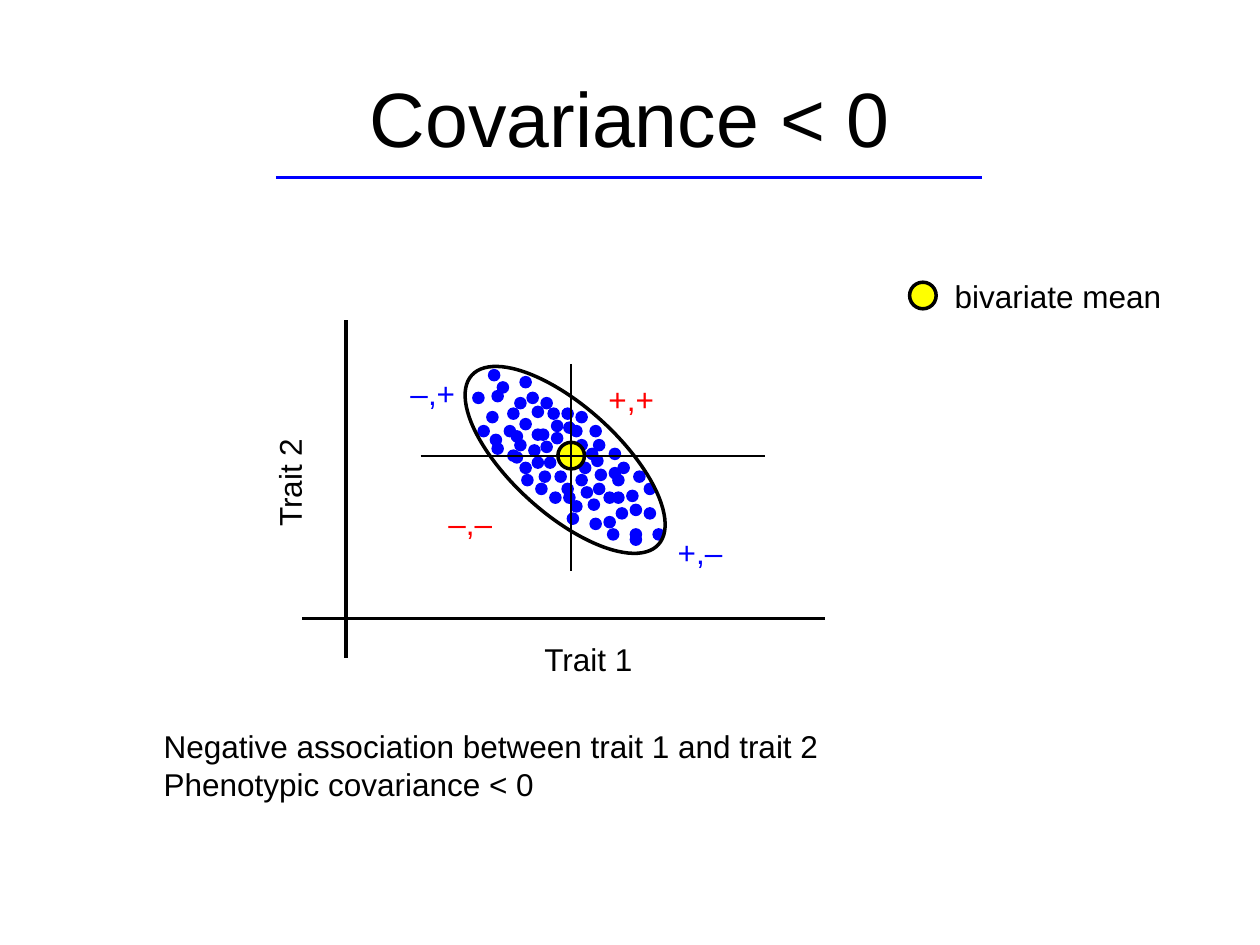
from dataclasses import dataclass

from pptx import Presentation
from pptx.dml.color import RGBColor
from pptx.enum.shapes import MSO_CONNECTOR, MSO_SHAPE
from pptx.enum.text import MSO_ANCHOR, MSO_AUTO_SIZE, PP_ALIGN
from pptx.oxml.ns import qn
from pptx.util import Pt

STRAIGHT = MSO_CONNECTOR.STRAIGHT
OVAL = MSO_SHAPE.OVAL
LEFT, CENTER = PP_ALIGN.LEFT, PP_ALIGN.CENTER
TOP, MIDDLE = MSO_ANCHOR.TOP, MSO_ANCHOR.MIDDLE
FIT_SHAPE = MSO_AUTO_SIZE.SHAPE_TO_FIT_TEXT


@dataclass(frozen=True)
class Theme:
    font: str = "Arial"
    title_size: float = 44
    body_size: float = 18
    black: RGBColor = RGBColor(0, 0, 0)
    blue: RGBColor = RGBColor(0, 0, 255)
    red: RGBColor = RGBColor(255, 0, 0)
    yellow: RGBColor = RGBColor(255, 255, 0)
    thick: float = 2
    thin: float = 1
    dot: float = 7.2
    mean_dot: float = 15.2
    label_height: float = 29


THEME = Theme()

# Individuals, as (x, y) offsets in points from the bivariate mean, y downwards
INDIVIDUALS = [
    (-14, -30), (-26, -18), (-45, -22), (-33, 0), (8, 7), (1, 36),
    (-12, 4), (6, -6), (39, 12), (-1, 24), (-14, -5), (45, 19),
    (37, 48), (22, 38), (-22, -33), (-42, -34), (-35, -14), (-25, 14),
    (-8, -17), (-15, 12), (-31, 1), (27, 24), (-19, 4), (-50, -14),
    (-29, -30), (30, 7), (22, 24), (6, 14), (27, 14), (25, 10),
    (-53, -33), (29, 33), (37, 45), (17, 11), (37, 31), (13, 28),
    (12, -1), (35, 23), (-8, -10), (-2, -24), (50, 45), (-43, -9),
    (-33, -24), (3, -14), (-16, -12), (-31, -11), (-44, -46), (-39, -39),
    (16, 19), (-9, 24), (24, 45), (-29, -6), (-26, -42), (15, 3),
    (6, -22), (-19, -25), (-19, -12), (45, 33), (14, -14), (16, -6),
    (25, -1), (-2, 19), (-26, 7), (-21, -3), (-17, 19), (-1, -16),
    (14, 39), (9, 21), (-42, -4), (3, 29), (-6, 12), (-10, -24),
]

# Sign labels: text, offset of the label's corner from the mean, colour, wrap
QUADRANTS = [
    ("+,+", 14.2, -46.6, THEME.red, False),
    ("–,–", -77.3, 24, THEME.red, False),
    ("+,–", 53.8, 40.6, THEME.blue, True),
    ("–,+", -98.9, -50.2, THEME.blue, False),
]


def add_text(slide, text, left, top, width, height, *, size=THEME.body_size,
             color=THEME.black, align=LEFT, anchor=TOP, wrap=True,
             fit=FIT_SHAPE, rotation=0):
    box = slide.shapes.add_textbox(Pt(left), Pt(top), Pt(width), Pt(height))
    box.rotation = rotation
    frame = box.text_frame
    frame.text = text
    frame.word_wrap = wrap
    frame.auto_size = fit
    frame.vertical_anchor = anchor
    for paragraph in frame.paragraphs:
        paragraph.alignment = align
        font = paragraph.runs[0].font
        font.name, font.size, font.color.rgb = THEME.font, Pt(size), color


def add_line(slide, x1, y1, x2, y2, color=THEME.black, weight=THEME.thick):
    line = slide.shapes.add_connector(STRAIGHT, Pt(x1), Pt(y1), Pt(x2), Pt(y2))
    line.line.color.rgb = color
    line.line.width = Pt(weight)
    properties = line._element.spPr
    properties.append(properties.makeelement(qn("a:effectLst"), {}))


def add_ellipse(slide, x, y, width, height, fill=None, outline=None, rotation=0):
    """Place an ellipse centred on (x, y)."""
    shape = slide.shapes.add_shape(OVAL, Pt(x - width / 2), Pt(y - height / 2),
                                   Pt(width), Pt(height))
    shape.shadow.inherit = False
    shape.rotation = rotation
    if fill is None:
        shape.fill.background()
    else:
        shape.fill.solid()
        shape.fill.fore_color.rgb = fill
    if outline is None:
        shape.line.fill.background()
    else:
        shape.line.color.rgb = outline
        shape.line.width = Pt(THEME.thick)


def add_mean(slide, x, y):
    add_ellipse(slide, x, y, THEME.mean_dot, THEME.mean_dot,
                fill=THEME.yellow, outline=THEME.black)


def add_heading(slide, left, top, width, height):
    add_text(slide, "Covariance < 0", left, top, width, height,
             size=THEME.title_size, align=CENTER, anchor=MIDDLE, fit=None)
    rule_y = top + 79.9
    add_line(slide, left + 121.7, rule_y, left + 524.9, rule_y, THEME.blue)


def add_axes(slide, left, top, width, height):
    axis_x, axis_y = left + 25, top + 170.5
    add_line(slide, axis_x, top, axis_x, top + height)
    add_line(slide, left, axis_y, left + width, axis_y)
    title = dict(width=190, height=THEME.label_height, align=CENTER)
    add_text(slide, "Trait 1", left + 68.4, top + 179.2, **title)
    add_text(slide, "Trait 2", left - 102.3, top + 78.4, rotation=270, **title)


def add_scatter(slide, left, top, width, height):
    """Draw axes, individuals, their ellipse and the signs of the quadrants."""
    add_axes(slide, left, top, width, height)
    mean_x, mean_y = left + 153.6, top + 77.5
    for dx, dy in INDIVIDUALS:
        add_ellipse(slide, mean_x + dx, mean_y + dy, THEME.dot, THEME.dot,
                    fill=THEME.blue)
    add_mean(slide, mean_x, mean_y)
    add_ellipse(slide, mean_x - 3.5, mean_y + 2.4, 61.2, 144,
                outline=THEME.black, rotation=132.2)
    for text, dx, dy, color, wrap in QUADRANTS:
        add_text(slide, text, mean_x + dx, mean_y + dy, 40.2,
                 THEME.label_height, color=color, wrap=wrap)
    add_line(slide, mean_x, mean_y - 52.4, mean_x, mean_y + 65.8,
             weight=THEME.thin)
    add_line(slide, mean_x - 86, mean_y, mean_x + 110.6, mean_y,
             weight=THEME.thin)


def add_legend(slide, left, top, width, height):
    add_mean(slide, left + THEME.mean_dot / 2, top + height / 2 - 0.4)
    text_left = 18.7
    add_text(slide, "bivariate mean", left + text_left, top,
             width - text_left, height, wrap=False)


def add_conclusion(slide, left, top, width, height):
    add_text(slide, "Negative association between trait 1 and trait 2\n"
             "Phenotypic covariance < 0", left, top, width, height, wrap=False)


def main():
    presentation = Presentation()
    presentation.slide_width, presentation.slide_height = Pt(720), Pt(540)
    slide = presentation.slides.add_slide(presentation.slide_layouts[6])
    add_heading(slide, 36, 21.6, 648, 90)
    add_scatter(slide, 172.8, 182.9, 298.8, 193)
    add_legend(slide, 519.8, 154.8, 151.2, THEME.label_height)
    add_conclusion(slide, 86.4, 411.8, 388.8, 50.4)
    presentation.save("out.pptx")


if __name__ == "__main__":
    main()
